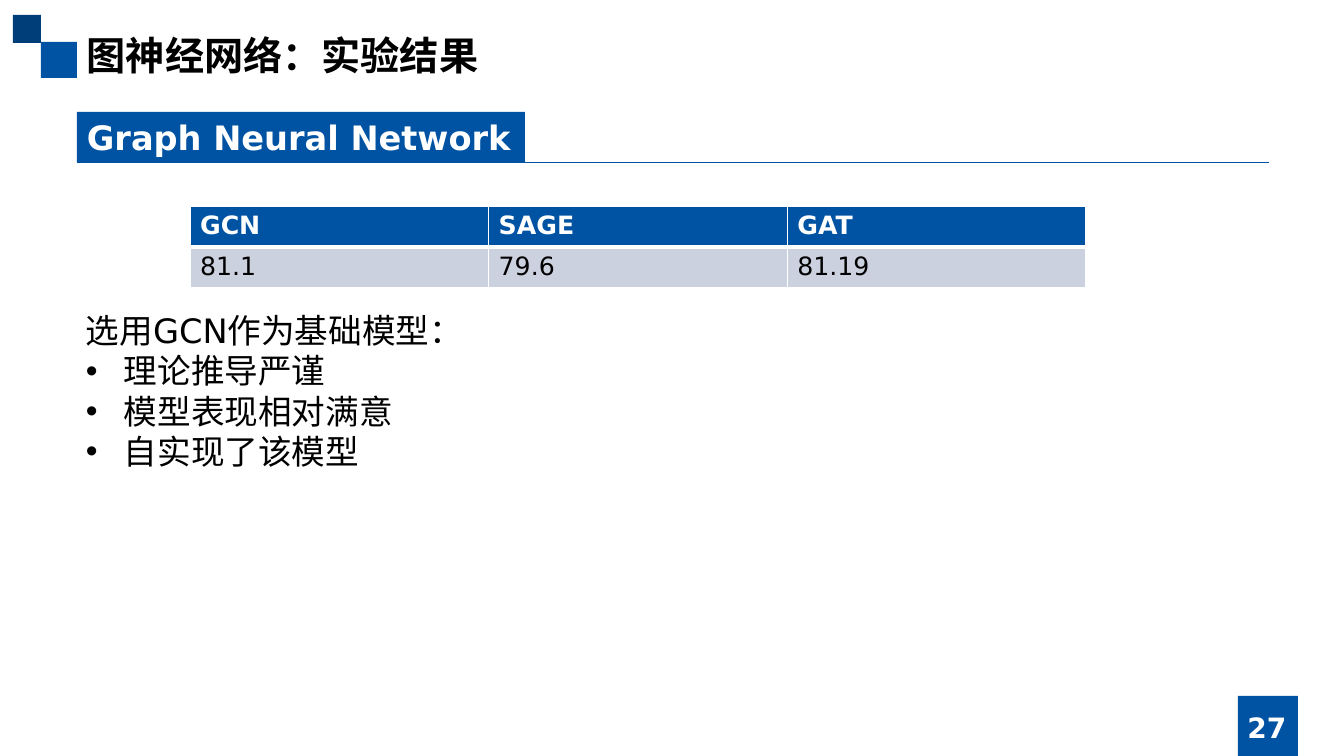
"""Build the slide that reports the graph neural network results."""
from lxml import etree
from pptx import Presentation, util as u
from pptx.dml.color import RGBColor
from pptx.enum import shapes, text
from pptx.oxml import ns

TITLE = "图神经网络：实验结果"
SECTION = "Graph Neural Network"
PAGE = "27"
RESULTS = [("GCN", "SAGE", "GAT"), ("81.1", "79.6", "81.19")]
REASON = "选用GCN作为基础模型："
POINTS = ["理论推导严谨", "模型表现相对满意", "自实现了该模型"]

BLUE = RGBColor(0x00, 0x53, 0xA3)
NAVY = RGBColor(0x00, 0x3E, 0x7A)
PALE = RGBColor(0xCC, 0xD1, 0xE0)
WHITE = RGBColor(0xFF, 0xFF, 0xFF)
BLACK = RGBColor(0x00, 0x00, 0x00)
LATIN, CJK = "DejaVu Sans", "Noto Sans CJK SC"

STYLES = {
    "title": dict(name=CJK, size=u.Pt(28), bold=True, color=BLACK),
    "section": dict(name=LATIN, size=u.Pt(24), bold=True, color=WHITE),
    "page": dict(name=LATIN, size=u.Pt(20), bold=True, color=WHITE),
    "body": dict(name=LATIN, size=u.Pt(24), bold=False, color=BLACK),
    "header": dict(name=LATIN, size=u.Pt(18), bold=True, color=WHITE),
    "value": dict(name=LATIN, size=u.Pt(18), bold=False, color=BLACK),
}
SQUARES = [((41, 42, 36, 36), BLUE), ((13, 15, 28, 28), NAVY), ((1238, 696, 60, 60), BLUE)]
LABEL = (77, 112, 448, 50)
RULE_RIGHT = 1269
BULLET_INDENT = 38


def px(*lengths):
    return [u.Emu(round(length * 914400 / 100.8)) for length in lengths]


def write(paragraph, words, style):
    run = paragraph.add_run()
    run.text = words
    for key, value in STYLES[style].items():
        if key == "color":
            run.font.color.rgb = value
        else:
            setattr(run.font, key, value)
    etree.SubElement(run._r.get_or_add_rPr(), ns.qn("a:ea"), typeface=CJK)


def add_rect(slide, box, color):
    rect = slide.shapes.add_shape(shapes.MSO_SHAPE.RECTANGLE, *px(*box))
    rect.shadow.inherit = False
    rect.fill.solid()
    rect.fill.fore_color.rgb = color
    rect.line.fill.background()
    return rect


def add_text(slide, box, **frame_format):
    frame = slide.shapes.add_textbox(*px(*box)).text_frame
    for key, value in dict(word_wrap=True, **frame_format).items():
        setattr(frame, key, value)
    return frame


def add_borders(cell, widths):
    for side, points in widths.items():
        border = etree.SubElement(cell._tc.get_or_add_tcPr(), ns.qn("a:ln" + side),
                                  w=str(u.Pt(points)))
        fill = etree.SubElement(border, ns.qn("a:solidFill"))
        etree.SubElement(fill, ns.qn("a:srgbClr"), val=str(WHITE))


def add_results(slide):
    table = slide.shapes.add_table(len(RESULTS), len(RESULTS[0]), *px(190, 206, 896, 82)).table
    looks = [("header", BLUE, dict(L=1, R=1, T=1, B=3)),
             ("value", PALE, dict(L=1, R=1, T=3, B=1))]
    for row, (values, (style, color, widths)) in enumerate(zip(RESULTS, looks)):
        for column, value in enumerate(values):
            cell = table.cell(row, column)
            add_borders(cell, widths)
            cell.fill.solid()
            cell.fill.fore_color.rgb = color
            write(cell.text_frame.paragraphs[0], value, style)


def add_section(slide):
    label = add_rect(slide, LABEL, BLUE)
    label.text_frame.vertical_anchor = text.MSO_ANCHOR.TOP
    heading = label.text_frame.paragraphs[0]
    heading.alignment = text.PP_ALIGN.LEFT
    write(heading, SECTION, "section")
    left, top, _, height = LABEL
    bottom = top + height
    rule = slide.shapes.add_connector(shapes.MSO_CONNECTOR.STRAIGHT,
                                      *px(left, bottom, RULE_RIGHT, bottom))
    rule.line.color.rgb = BLUE
    rule.line.width = u.Pt(0.5)
    etree.SubElement(rule._element.spPr, ns.qn("a:effectLst"))


def add_reasons(slide):
    body = add_text(slide, (76, 305, 1192, 180))
    for index, words in enumerate([REASON, *POINTS]):
        paragraph = body.add_paragraph() if index else body.paragraphs[0]
        if index:
            indent, = px(BULLET_INDENT)
            properties = paragraph._p.get_or_add_pPr()
            properties.set("marL", str(indent))
            properties.set("indent", str(-indent))
            etree.SubElement(properties, ns.qn("a:buFont"), typeface="Arial")
            etree.SubElement(properties, ns.qn("a:buChar"), char="•")
        paragraph.line_spacing = u.Pt(28.8)
        write(paragraph, words, "body")


def main():
    deck = Presentation()
    deck.slide_width, deck.slide_height = px(1344, 756)
    slide = deck.slides.add_slide(deck.slide_layouts[6])
    for box, color in SQUARES:
        add_rect(slide, box, color)
    title = add_text(slide, (77, 31, 1190, 57), margin_top=0)
    write(title.paragraphs[0], TITLE, "title")
    page = add_text(slide, (1190, 707, 154, 40), vertical_anchor=text.MSO_ANCHOR.MIDDLE)
    page.paragraphs[0].alignment = text.PP_ALIGN.CENTER
    write(page.paragraphs[0], PAGE, "page")
    add_section(slide)
    add_reasons(slide)
    add_results(slide)
    deck.save("out.pptx")


if __name__ == "__main__":
    main()
